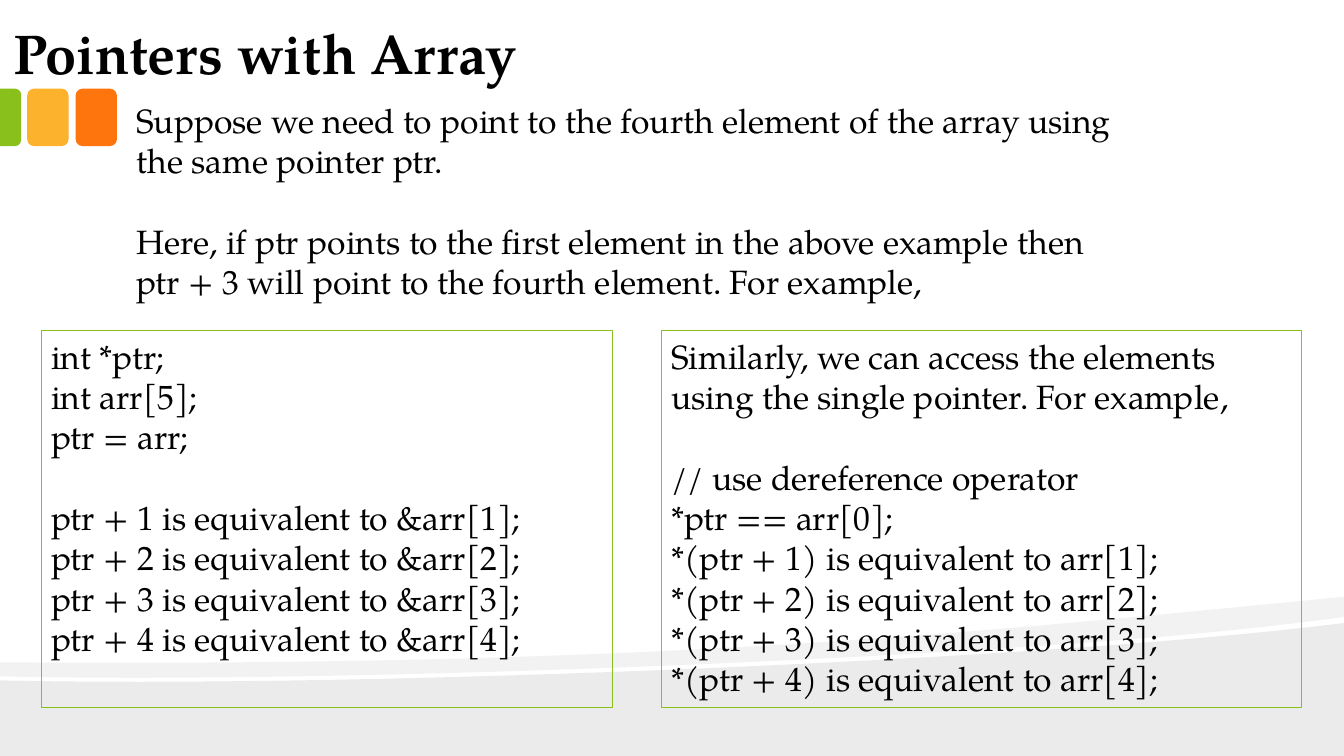
import pptx
import pptx.util
import pptx.dml.color
import pptx.enum.shapes
import pptx.enum.text
import pptx.oxml
import pptx.oxml.ns

Inches = pptx.util.Inches
Pt = pptx.util.Pt
RGBColor = pptx.dml.color.RGBColor
Shape = pptx.enum.shapes.MSO_SHAPE
Align = pptx.enum.text.PP_ALIGN
Anchor = pptx.enum.text.MSO_ANCHOR
Fit = pptx.enum.text.MSO_AUTO_SIZE

BLACK = RGBColor(0x00, 0x00, 0x00)
GREEN = RGBColor(0x89, 0xC0, 0x1C)
AMBER = RGBColor(0xFC, 0xB2, 0x2C)
ORANGE = RGBColor(0xFE, 0x75, 0x0E)
FONT = "TeX Gyre Pagella"
WIDE, HIGH = 13.33, 7.5
GAP = Pt(28.8)

INTRO = [
    "Suppose we need to point to the fourth element of the array using "
    "the same pointer ptr.",
    "Here, if ptr points to the first element in the above example then "
    "ptr + 3 will point to the fourth element. For example,",
]
ADDRESS = ["int *ptr;", "int arr[5];", "ptr = arr;"] + [
    f"ptr + {i} is equivalent to &arr[{i}];" for i in range(1, 5)]
VALUE = [
    "Similarly, we can access the elements using the single pointer. "
    "For example,",
    "// use dereference operator",
    "*ptr == arr[0];",
] + [f"*(ptr + {i}) is equivalent to arr[{i}];" for i in range(1, 5)]

# Each step is one point for a line, or three for a cubic curve.
HILL = [
    [(0, 6.75)],
    [(3.52, 6.83), (10.42, 6.55), (WIDE, 6.18)],
    [(WIDE, HIGH)],
    [(0, HIGH)],
]
BAND = [
    [(0, 6.57)],
    [(6.52, 6.62), (9.71, 6.27), (WIDE, 5.92)],
    [(WIDE, 6.12)],
    [(12.55, 6.23), (11.49, 6.33), (10.29, 6.41)],
    [(6.98, 6.63), (2.58, 6.77), (0, 6.71)],
]


def node(tag):
    return pptx.oxml.parse_xml(f'<a:{tag} {pptx.oxml.ns.nsdecls("a")}/>')


def place(shape, left, top, width, height):
    shape.left, shape.top = Inches(left), Inches(top)
    shape.width, shape.height = Inches(width), Inches(height)


def write(shape, lines, size=24, bold=False, anchor=Anchor.TOP, gap=None):
    """Fill a shape with left-aligned lines; line number gap starts a new block."""
    frame = shape.text_frame
    frame.word_wrap = True
    frame.auto_size = Fit.NONE
    frame.vertical_anchor = anchor
    frame.text = "\n".join(lines)
    for i, para in enumerate(frame.paragraphs):
        para.alignment = Align.LEFT
        para.space_before = GAP if i == gap else Pt(0)
        font = para.runs[0].font
        font.name, font.size, font.bold = FONT, Pt(size), bold
        font.color.rgb = BLACK


def plain(shape):
    """Take bullets and hanging indents off a body placeholder."""
    for para in shape.text_frame.paragraphs:
        props = para._p.get_or_add_pPr()
        props.set("marL", "0")
        props.set("indent", "0")
        props.append(node("buNone"))


def bend(shape, steps):
    """Turn each run of three outline lines into one cubic curve."""
    lines = iter(shape._element.findall(".//" + pptx.oxml.ns.qn("a:lnTo")))
    for step in steps:
        group = [next(lines) for _ in step]
        if len(group) == 3:
            arc = node("cubicBezTo")
            group[0].addprevious(arc)
            for line in group:
                arc.append(line[0])
                line.getparent().remove(line)


def wave(slide, steps, alpha):
    """Draw a black outline-free area, alpha percent opaque."""
    points = [(Inches(x), Inches(y)) for step in steps for x, y in step]
    pen = slide.shapes.build_freeform(*points[0], scale=1.0)
    pen.add_line_segments(points[1:])
    shape = pen.convert_to_shape()
    bend(shape, steps[1:])
    shape.shadow.inherit = False
    shape.line.fill.background()
    shape.fill.solid()
    shape.fill.fore_color.rgb = BLACK
    tint = shape._element.spPr.find(".//" + pptx.oxml.ns.qn("a:srgbClr"))
    clear = node("alpha")
    clear.set("val", str(alpha * 1000))
    tint.append(clear)


def tile(slide, kind, left, top, width, height, color):
    shape = slide.shapes.add_shape(
        kind, Inches(left), Inches(top), Inches(width), Inches(height))
    shape.shadow.inherit = False
    shape.fill.solid()
    shape.fill.fore_color.rgb = color
    shape.line.fill.background()
    return shape


def box(slide, left, width, lines, gap):
    shape = slide.shapes.add_shape(
        Shape.RECTANGLE, Inches(left), Inches(3.28), Inches(width), Inches(3.74))
    shape.shadow.inherit = False
    shape.fill.background()
    shape.line.color.rgb = GREEN
    shape.line.width = Pt(0.75)
    write(shape, lines, gap=gap)


def main():
    deck = pptx.Presentation()
    deck.slide_width, deck.slide_height = Inches(WIDE), Inches(HIGH)
    slide = deck.slides.add_slide(deck.slide_layouts[1])

    wave(slide, HILL, 8)
    wave(slide, BAND, 5)

    for left, color in ((0.75, ORANGE), (0.27, AMBER)):
        tile(slide, Shape.ROUNDED_RECTANGLE, left, 0.88, 0.41, 0.57, color)
    edge = tile(slide, Shape.ROUND_2_SAME_RECTANGLE,
                -0.18, 1.06, 0.57, 0.21, GREEN)
    edge.rotation = 90
    edge.adjustments[0] = 0.29

    title = slide.shapes.title
    place(title, 0, 0.01, 12.83, 0.91)
    write(title, ["Pointers with Array"], 40, True, Anchor.BOTTOM)
    frame = title.text_frame
    frame.margin_left = frame.margin_right = Inches(0.13)
    frame.margin_top = frame.margin_bottom = Inches(0.07)

    box(slide, 0.41, 5.67, ADDRESS, 3)
    box(slide, 6.56, 6.35, VALUE, 1)

    body = slide.placeholders[1]
    place(body, 1.25, 0.94, 10.08, 2.12)
    write(body, INTRO, gap=1)
    plain(body)

    deck.save("out.pptx")


if __name__ == "__main__":
    main()
